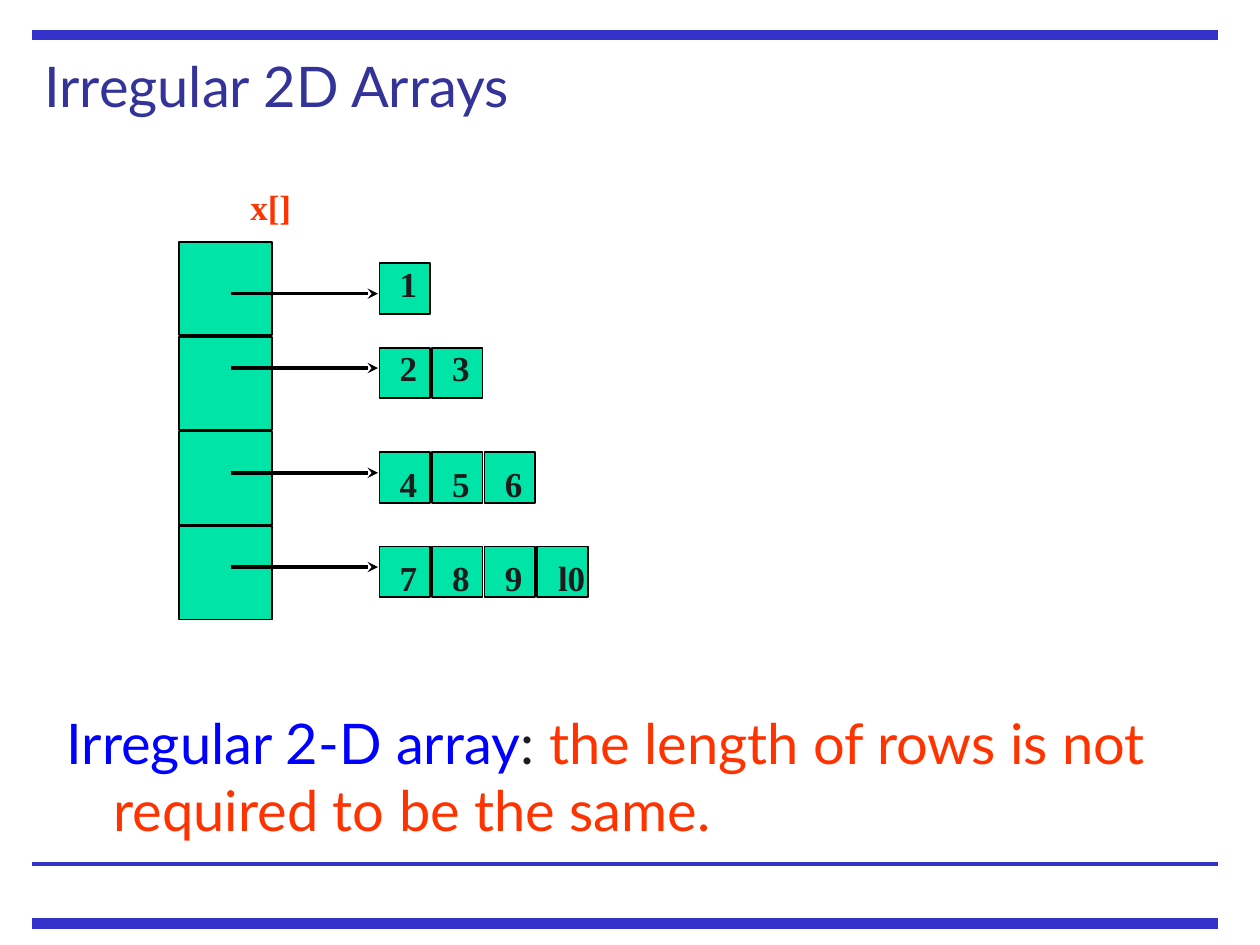
from collections import namedtuple

from lxml import etree
from pptx import Presentation
from pptx.dml.color import RGBColor
from pptx.enum import shapes, text
from pptx.oxml import ns
from pptx.util import Cm, Pt

COLORS = {
    "rule": "3333CC", "title": "333399", "term": "0000FF", "ink": "1C1C1C",
    "accent": "FF3300", "cell": "00E4A8", "edge": "000000",
}
SANS, SERIF = "Lato", "Times New Roman"
Box = namedtuple("Box", "left top width height")
Row = namedtuple("Row", "values top arrow shift")
ROWS = [
    Row(["1"], 1.7, 0.61, -0.15),
    Row(["2", "3"], 3.4, 0.41, -0.15),
    Row(["4", "5", "6"], 5.51, 0.41, 0.08),
    Row(["7", "8", "9", "l0"], 7.41, 0.41, 0.08),
]


def color(name):
    """Return a palette colour."""
    return RGBColor.from_string(COLORS[name])


def add_line(page, start, end, name, width, arrow=False):
    """Draw a straight line, with a stealth arrowhead if asked."""
    points = [Cm(value) for value in (*start, *end)]
    line = page.shapes.add_connector(shapes.MSO_CONNECTOR.STRAIGHT, *points)
    line.line.color.rgb = color(name)
    line.line.width = Pt(width)
    if arrow:
        head = etree.SubElement(line.line._get_or_add_ln(), ns.qn("a:tailEnd"))
        head.set("type", "stealth")
    etree.SubElement(line._element.spPr, ns.qn("a:effectLst"))


def add_square(page, left, top, size):
    """Draw one array cell."""
    square = page.shapes.add_shape(
        shapes.MSO_SHAPE.RECTANGLE, Cm(left), Cm(top), Cm(size), Cm(size))
    square.shadow.inherit = False
    square.fill.solid()
    square.fill.fore_color.rgb = color("cell")
    square.line.color.rgb = color("edge")
    square.line.width = Pt(1)


def add_text(page, box, spans, font, size, bold=False, wrap=True):
    """Write coloured spans as one paragraph and return its frame."""
    frame = page.shapes.add_textbox(*map(Cm, box)).text_frame
    frame.word_wrap = wrap
    para = frame.paragraphs[0]
    para.font.name, para.font.size, para.font.bold = font, Pt(size), bold
    for words, name in spans:
        span = para.add_run()
        span.text = words
        span.font.color.rgb = color(name)
    return frame


def add_label(page, box, words, name, wrap):
    """Write a bold right-aligned array label."""
    frame = add_text(page, box, [(words, name)], SERIF, 20, True, wrap)
    frame.paragraphs[0].alignment = text.PP_ALIGN.RIGHT


def add_rules(page, box):
    """Draw the rules that frame the page."""
    for offset, width in ((0, 6), (16.71, 2.25), (box.height, 6)):
        height = box.top + offset
        add_line(page, (box.left, height), (box.left + box.width, height),
                 "rule", width)


def add_title(page, box):
    """Write the heading."""
    frame = add_text(page, box, [("Irregular 2D Arrays", "title")], SANS, 32)
    frame.vertical_anchor = text.MSO_ANCHOR.MIDDLE


def add_row(page, box, row):
    """Draw an arrow and the cells of the row it points to."""
    middle = box.top + row.arrow
    add_line(page, (box.left - 3, middle), (box.left - 0.03, middle),
             "edge", 2, arrow=True)
    for index, value in enumerate(row.values):
        left = box.left + 1.06 * index
        add_square(page, left, box.top, box.height)
        width = 0.5 + 0.36 * len(value) if len(value) == 1 else 1.07
        label = Box(left + 0.15, box.top + row.shift, width, 1.09)
        add_label(page, label, value, "ink", False)


def add_diagram(page, box):
    """Draw the array of references and the rows of unequal length."""
    add_label(page, Box(box.left + 0.4, box.top, 2.11, 1.09),
              "x[]", "accent", True)
    for index in range(len(ROWS)):
        add_square(page, box.left, box.top + 1.27 + 1.91 * index, 1.88)
    for row in ROWS:
        place = Box(box.left + 4.04, box.top + row.top, box.width - 4.04, 1.02)
        add_row(page, place, row)


def add_definition(page, box):
    """Write the definition with a hanging indent."""
    spans = [
        ("Irregular 2-D array", "term"), (": ", "ink"),
        ("the length of rows is not required to be the same.", "accent"),
    ]
    frame = add_text(page, box, spans, SANS, 32)
    properties = frame.paragraphs[0]._p.get_or_add_pPr()
    properties.set("marL", str(Cm(0.95)))
    properties.set("indent", str(Cm(-0.95)))


def main():
    """Build the deck."""
    deck = Presentation()
    deck.slide_width, deck.slide_height = Cm(25.4), Cm(19.05)
    page = deck.slides.add_slide(deck.slide_layouts[6])
    add_rules(page, Box(0.64, 0.71, 23.92, 17.91))
    add_title(page, Box(0.64, 0.71, 24.13, 2.01))
    add_definition(page, Box(1.09, 14.15, 23.88, 3.86))
    add_diagram(page, Box(3.61, 3.61, 8.2, 8.89))
    deck.save("out.pptx")


if __name__ == "__main__":
    main()
